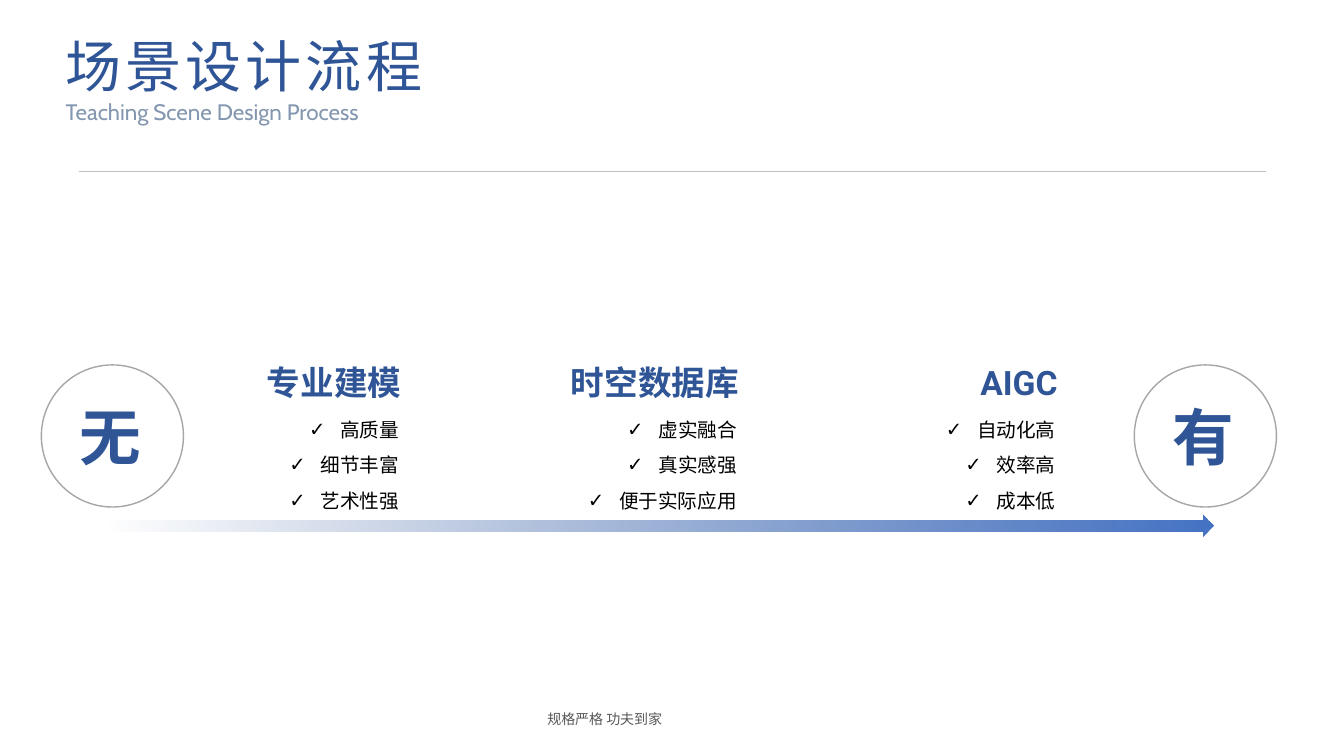
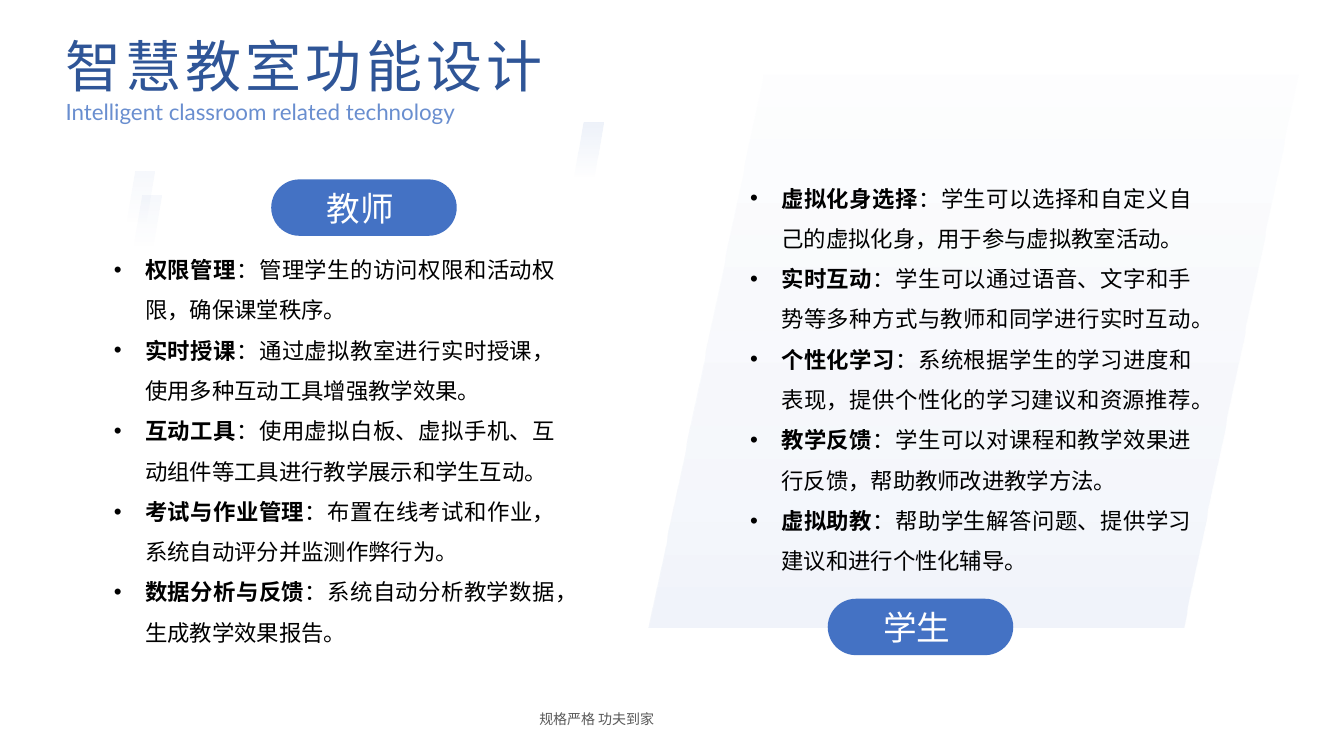
from dataclasses import dataclass
from typing import Optional

from pptx import Presentation
from pptx.dml.color import RGBColor
from pptx.enum.lang import MSO_LANGUAGE_ID as Language
from pptx.enum.shapes import MSO_CONNECTOR as Connector, MSO_SHAPE as Preset
from pptx.enum.text import MSO_ANCHOR as Anchor, MSO_AUTO_SIZE as AutoSize, PP_ALIGN as Align
from pptx.oxml import parse_xml
from pptx.oxml.ns import nsdecls, qn
from pptx.oxml.xmlchemy import OxmlElement
from pptx.util import Inches, Pt

NAVY = RGBColor(0x2F, 0x55, 0x97)
BLUE = RGBColor(0x44, 0x72, 0xC4)
SLATE = RGBColor(0x84, 0x97, 0xB0)
FOOTER_GRAY = RGBColor(0x59, 0x59, 0x59)
CIRCLE_GRAY = RGBColor(0xA6, 0xA6, 0xA6)
RULE_GRAY = RGBColor(0xBF, 0xBF, 0xBF)
BLACK = RGBColor(0, 0, 0)
WHITE = RGBColor(0xFF, 0xFF, 0xFF)

COMPARISON_LAYOUT = 4
LIST_INDENT = Inches(0.31)
FOOTER = "规格严格 功夫到家"


@dataclass(frozen=True)
class Box:
    left: float
    top: float
    width: float
    height: float


@dataclass(frozen=True)
class Style:
    font: str
    size: float
    color: RGBColor
    bold: bool = False
    opacity: int = 100
    spacing: float = 0


@dataclass(frozen=True)
class GradientStop:
    position: int
    color: RGBColor
    opacity: int


@dataclass(frozen=True)
class Stage:
    left: float
    heading: str
    points: tuple[str, ...]


@dataclass(frozen=True)
class Role:
    name: str
    pill: Box
    body: Box
    features: tuple[tuple[str, str], ...]


TITLE = Style("Roboto", 40, NAVY, spacing=3)
CABIN_SUBTITLE = Style("Cabin", 16, SLATE)
LATO_SUBTITLE = Style("Lato", 16, BLUE, opacity=80)
FOOTER_STYLE = Style("Cabin", 10, FOOTER_GRAY)
STAGE_HEADING = Style("Roboto", 24, NAVY, bold=True)
STAGE_POINT = Style("Lato", 14, BLACK)
CIRCLE_WORD = Style("Cabin", 44, NAVY, bold=True)
PILL_WORD = Style("Roboto", 24, WHITE)
FEATURE_NAME = Style("Lato", 16, BLACK, bold=True)
FEATURE_TEXT = Style("Lato", 16, BLACK)

STAGES = (
    Stage(1.25, "专业建模", ("高质量", "细节丰富", "艺术性强")),
    Stage(4.6, "时空数据库", ("虚实融合", "真实感强", "便于实际应用")),
    Stage(7.76, "AIGC", ("自动化高", "效率高", "成本低")),
)
ROLES = (
    Role("教师", Box(2.69, 1.78, 1.84, 0.56), Box(1.13, 2.41, 4.38, 3.99), (
        ("权限管理", "：管理学生的访问权限和活动权限，确保课堂秩序。"),
        ("实时授课", "：通过虚拟教室进行实时授课，使用多种互动工具增强教学效果。"),
        ("互动工具", "：使用虚拟白板、虚拟手机、互动组件等工具进行教学展示和学生互动。"),
        ("考试与作业管理", "：布置在线考试和作业，系统自动评分并监测作弊行为。"),
        ("数据分析与反馈", "：系统自动分析教学数据，生成教学效果报告。"),
    )),
    Role("学生", Box(8.21, 5.94, 1.84, 0.56), Box(7.44, 1.7, 4.38, 3.99), (
        ("虚拟化身选择", "：学生可以选择和自定义自己的虚拟化身，用于参与虚拟教室活动。"),
        ("实时互动", "：学生可以通过语音、文字和手势等多种方式与教师和同学进行实时互动。"),
        ("个性化学习", "：系统根据学生的学习进度和表现，提供个性化的学习建议和资源推荐。"),
        ("教学反馈", "：学生可以对课程和教学效果进行反馈，帮助教师改进教学方法。"),
        ("虚拟助教", "：帮助学生解答问题、提供学习建议和进行个性化辅导。"),
    )),
)


def edges(box: Box) -> tuple:
    """Return the box as four lengths."""
    return Inches(box.left), Inches(box.top), Inches(box.width), Inches(box.height)


def place(shape, box: Box) -> None:
    """Move a placeholder to the box."""
    shape.left, shape.top, shape.width, shape.height = edges(box)


def set_opacity(element, opacity: int) -> None:
    """Make every colour inside the element partly transparent."""
    for color in element.iter(qn("a:srgbClr")):
        alpha = OxmlElement("a:alpha")
        alpha.set("val", str(opacity * 1000))
        color.append(alpha)


def prepare_frame(shape, inset: bool = True, anchor=Anchor.TOP):
    """Set wrapping, anchor and insets and return the text frame."""
    frame = shape.text_frame
    frame.word_wrap = True
    frame.auto_size = AutoSize.NONE
    frame.vertical_anchor = anchor
    frame.margin_left = frame.margin_right = Inches(0.1 if inset else 0)
    frame.margin_top = frame.margin_bottom = Inches(0.05 if inset else 0)
    return frame


def add_run(paragraph, text: str, style: Style) -> None:
    """Append one formatted run."""
    run = paragraph.add_run()
    run.text = text
    font = run.font
    font.name, font.size, font.bold = style.font, Pt(style.size), style.bold
    font.color.rgb = style.color
    font.language_id = Language.SIMPLIFIED_CHINESE
    properties = run._r.get_or_add_rPr()
    east_asian = OxmlElement("a:ea")
    east_asian.set("typeface", style.font)
    properties.find(qn("a:latin")).addnext(east_asian)
    if style.spacing:
        properties.set("spc", str(int(style.spacing * 100)))
    if style.opacity < 100:
        set_opacity(properties, style.opacity)


def format_paragraph(paragraph, align, bullet: Optional[str] = None) -> None:
    """Set alignment, spacing and an optional bullet."""
    properties = paragraph._p.get_or_add_pPr()
    indent = LIST_INDENT if bullet else 0
    properties.set("marL", str(indent))
    properties.set("indent", str(-indent))
    if bullet:
        bullet_font = OxmlElement("a:buFont")
        bullet_font.set("typeface", "Arial")
        character = OxmlElement("a:buChar")
        character.set("char", bullet)
        properties.extend([bullet_font, character])
    else:
        properties.append(OxmlElement("a:buNone"))
    paragraph.alignment = align
    paragraph.line_spacing = 1.5 if bullet else 1.0
    paragraph.space_before = paragraph.space_after = Pt(0)


def write_line(frame, text: str, style: Style, align) -> None:
    """Write a single unbulleted paragraph."""
    paragraph = frame.paragraphs[0]
    format_paragraph(paragraph, align)
    add_run(paragraph, text, style)


def write_list(frame, items, align, bullet: str) -> None:
    """Write bulleted paragraphs, each a sequence of text and style pairs."""
    for index, runs in enumerate(items):
        paragraph = frame.add_paragraph() if index else frame.paragraphs[0]
        format_paragraph(paragraph, align, bullet)
        for text, style in runs:
            add_run(paragraph, text, style)


def add_text(slide, box: Box, text: str, style: Style, align, inset: bool = True) -> None:
    """Add a text box with one line."""
    shape = slide.shapes.add_textbox(*edges(box))
    write_line(prepare_frame(shape, inset), text, style, align)


def add_preset(slide, preset, box: Box, adjustment: Optional[float] = None):
    """Add a preset shape without shadow or outline."""
    shape = slide.shapes.add_shape(preset, *edges(box))
    shape.shadow.inherit = False
    shape.line.fill.background()
    if adjustment is not None:
        shape.adjustments[0] = adjustment
    return shape


def fill_gradient(shape, angle: int, *stops: GradientStop) -> None:
    """Fill the shape with a linear gradient."""
    stop_xml = "".join(
        f'<a:gs pos="{stop.position * 1000}"><a:srgbClr val="{stop.color}">'
        f'<a:alpha val="{stop.opacity * 1000}"/></a:srgbClr></a:gs>'
        for stop in stops
    )
    gradient = parse_xml(
        f'<a:gradFill {nsdecls("a")} rotWithShape="1"><a:gsLst>{stop_xml}</a:gsLst>'
        f'<a:lin ang="{angle * 60000}" scaled="0"/></a:gradFill>'
    )
    shape.element.spPr.find(qn("a:prstGeom")).addnext(gradient)


def add_slant(slide, box: Box, adjustment: float, *stops: GradientStop) -> None:
    """Add a faded parallelogram behind the text."""
    shape = add_preset(slide, Preset.PARALLELOGRAM, box, adjustment)
    fill_gradient(shape, 90, *stops)
    slide.shapes.element.insert(2, shape.element)


def add_base_slide(presentation, title: str, title_width: float, subtitle: str,
                   subtitle_style: Style, footer_left: float):
    """Add a slide with title, subtitle and footer and return it with its list placeholders."""
    slide = presentation.slides.add_slide(presentation.slide_layouts[COMPARISON_LAYOUT])
    heading, subheading, *bodies = list(slide.placeholders)
    place(heading, Box(0.55, 0.26, title_width, 0.77))
    write_line(prepare_frame(heading), title, TITLE, Align.LEFT)
    place(subheading, Box(0.55, 0.92, 4.79, 0.37))
    write_line(prepare_frame(subheading), subtitle, subtitle_style, Align.JUSTIFY)
    add_text(slide, Box(footer_left, 7, 2.68, 0.27), FOOTER, FOOTER_STYLE, Align.JUSTIFY)
    return slide, bodies


def add_circle(slide, left: float, word: str) -> None:
    """Add an outlined circle holding one word."""
    circle = add_preset(slide, Preset.OVAL, Box(left, 3.62, 1.41, 1.41))
    circle.fill.solid()
    circle.fill.fore_color.rgb = WHITE
    set_opacity(circle.element.spPr, 65)
    circle.line.color.rgb = CIRCLE_GRAY
    circle.line.width = Pt(1)
    frame = prepare_frame(circle, inset=False, anchor=Anchor.MIDDLE)
    frame.margin_right = Inches(0.05)
    write_line(frame, word, CIRCLE_WORD, Align.CENTER)


def build_process_slide(presentation) -> None:
    """Build the scene design process."""
    slide, bodies = add_base_slide(presentation, "场景设计流程", 3.83,
                                   "Teaching Scene Design Process", CABIN_SUBTITLE, 5.33)
    rule = slide.shapes.add_connector(Connector.STRAIGHT, Inches(0.78), Inches(1.7),
                                      Inches(12.56), Inches(1.7))
    rule.line.color.rgb = RULE_GRAY
    rule.line.width = Pt(0.5)
    rule.element.spPr.append(OxmlElement("a:effectLst"))
    for stage, body in zip(STAGES, bodies):
        add_text(slide, Box(stage.left, 3.59, 2.73, 0.4), stage.heading, STAGE_HEADING,
                 Align.RIGHT, inset=False)
        place(body, Box(stage.left - 0.58, 3.98, 3.39, 1.12))
        items = [[(point, STAGE_POINT)] for point in stage.points]
        write_list(prepare_frame(body), items, Align.RIGHT, "✓")
    add_circle(slide, 0.41, "无")
    add_circle(slide, 11.25, "有")
    arrow = add_preset(slide, Preset.RIGHT_ARROW, Box(1.02, 5.1, 11.02, 0.22))
    fill_gradient(arrow, 0, GradientStop(0, NAVY, 0), GradientStop(100, BLUE, 100))


def build_function_slide(presentation) -> None:
    """Build the classroom functions for each role."""
    slide, bodies = add_base_slide(presentation, "智慧教室功能设计", 5.41,
                                   "Intelligent classroom related technology", LATO_SUBTITLE, 5.25)
    add_slant(slide, Box(6.43, -0.42, 6.69, 6.64), 0.208,
              GradientStop(15, BLUE, 0), GradientStop(100, BLUE, 7))
    for left, top, opacity in ((1.24, 1.7, 5), (1.31, 1.94, 5), (5.69, 1.22, 10)):
        add_slant(slide, Box(left, top, 0.29, 0.56), 0.335,
                  GradientStop(0, BLUE, opacity), GradientStop(100, BLUE, 0))
    for role, body in zip(ROLES, bodies):
        place(body, role.body)
        items = [[(name, FEATURE_NAME), (text, FEATURE_TEXT)] for name, text in role.features]
        write_list(prepare_frame(body, inset=False), items, Align.JUSTIFY, "•")
        pill = add_preset(slide, Preset.ROUNDED_RECTANGLE, role.pill, 0.5)
        pill.fill.solid()
        pill.fill.fore_color.rgb = BLUE
        frame = prepare_frame(pill, inset=False, anchor=Anchor.MIDDLE)
        frame.margin_left = Inches(0.47)
        write_line(frame, role.name, PILL_WORD, Align.LEFT)
    for spare in bodies[len(ROLES):]:
        spare.element.getparent().remove(spare.element)


def main() -> None:
    """Build and save the presentation."""
    presentation = Presentation()
    presentation.slide_width, presentation.slide_height = Inches(13.33), Inches(7.5)
    build_process_slide(presentation)
    build_function_slide(presentation)
    presentation.save("out.pptx")


if __name__ == "__main__":
    main()
